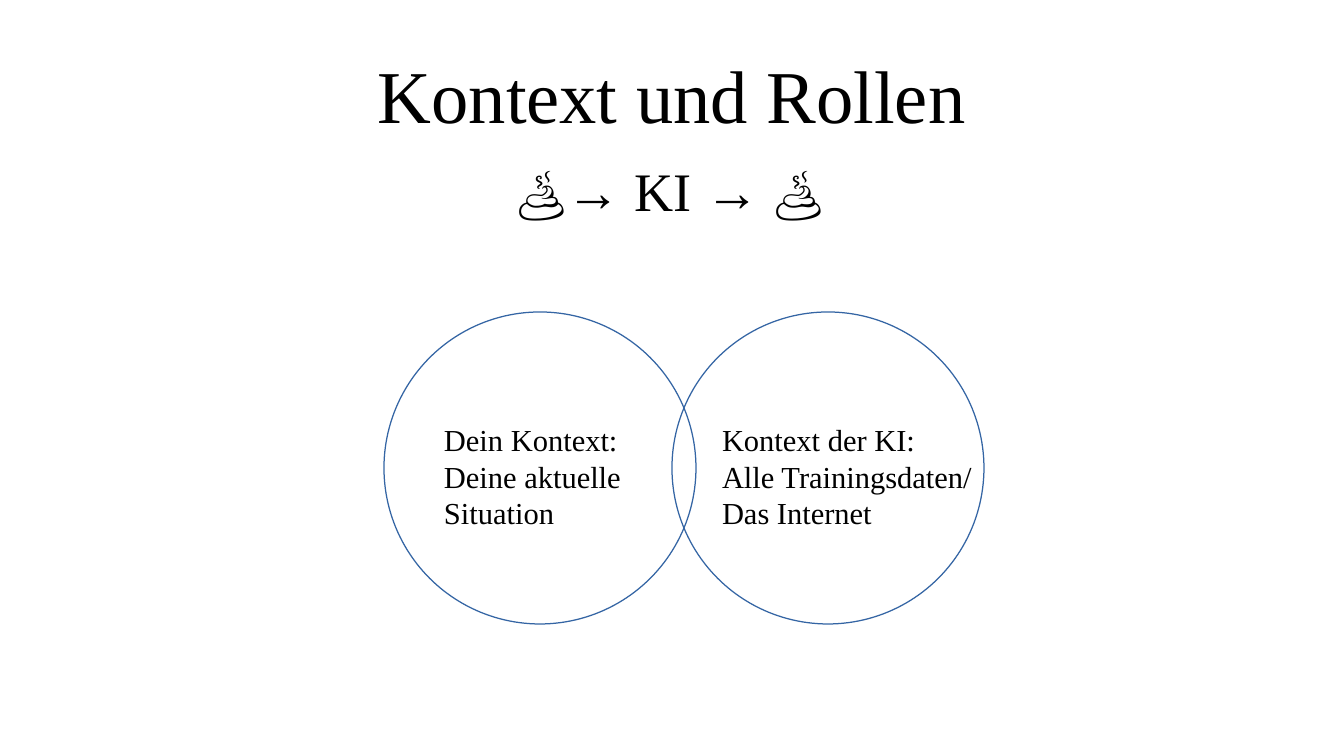
from dataclasses import dataclass

from pptx import Presentation
from pptx import util as u
from pptx.dml.color import RGBColor
from pptx.enum import shapes, text


@dataclass(frozen=True)
class Theme:
    ink: RGBColor = RGBColor.from_string("000000")
    outline: RGBColor = RGBColor.from_string("3465A4")
    serif: str = "Times New Roman"
    sans: str = "Arial"
    title_size: int = 44
    subtitle_size: int = 32
    body_size: int = 18


class SlideBuilder:
    def __init__(self, slide, theme):
        self.slide = slide
        self.theme = theme

    @staticmethod
    def px(*lengths):
        return [u.Emu(round(n * u.Inches(1) / 122)) for n in lengths]

    def style(self, run, size, font):
        run.font.size = u.Pt(size)
        run.font.name = font
        run.font.color.rgb = self.theme.ink

    def heading_frame(self, frame):
        frame.margin_left = frame.margin_right = 0
        frame.margin_top = frame.margin_bottom = 0
        frame.word_wrap = True
        frame.auto_size = text.MSO_AUTO_SIZE.NONE
        frame.vertical_anchor = text.MSO_ANCHOR.MIDDLE

    def title(self, wording, *box):
        title = self.slide.shapes.title
        title.left, title.top, title.width, title.height = self.px(*box)
        frame = title.text_frame
        self.heading_frame(frame)
        frame.text = wording
        frame.paragraphs[0].alignment = text.PP_ALIGN.CENTER
        self.style(frame.paragraphs[0].runs[0], self.theme.title_size, self.theme.serif)

    def subtitle(self, parts, *box):
        frame = self.slide.shapes.add_textbox(*self.px(*box)).text_frame
        self.heading_frame(frame)
        line = frame.paragraphs[0]
        line.alignment = text.PP_ALIGN.CENTER
        for wording, font in parts:
            run = line.add_run()
            run.text = wording
            self.style(run, self.theme.subtitle_size, font)

    def circle(self, left, top, diameter):
        circle = self.slide.shapes.add_shape(
            shapes.MSO_SHAPE.OVAL, *self.px(left, top, diameter, diameter))
        circle.shadow.inherit = False
        circle.fill.background()
        circle.line.color.rgb = self.theme.outline
        circle.line.width = u.Pt(0)

    def label(self, lines, *box):
        frame = self.slide.shapes.add_textbox(*self.px(*box)).text_frame
        frame.word_wrap = False
        frame.text = "\n".join(lines)
        for paragraph in frame.paragraphs:
            paragraph.alignment = text.PP_ALIGN.LEFT
            for run in paragraph.runs:
                self.style(run, self.theme.body_size, self.theme.serif)


def main():
    theme = Theme()
    deck = Presentation()
    deck.slide_width, deck.slide_height = SlideBuilder.px(1344, 756)
    builder = SlideBuilder(deck.slides.add_slide(deck.slide_layouts[5]), theme)

    builder.title("Kontext und Rollen", 67, 30, 1210, 127)
    builder.subtitle(
        [("💩", theme.sans), ("→ KI →", theme.serif), (" 💩", theme.sans)],
        476, 139, 389, 101)

    for left in (384, 672):
        builder.circle(left, 312, 312)

    contexts = [
        (432, 201, ["Dein Kontext:", "Deine aktuelle", "Situation"]),
        (710, 275, ["Kontext der KI:", "Alle Trainingsdaten/", "Das Internet"]),
    ]
    for left, width, lines in contexts:
        builder.label(lines, left, 415, width, 113)

    deck.save("out.pptx")


if __name__ == "__main__":
    main()
